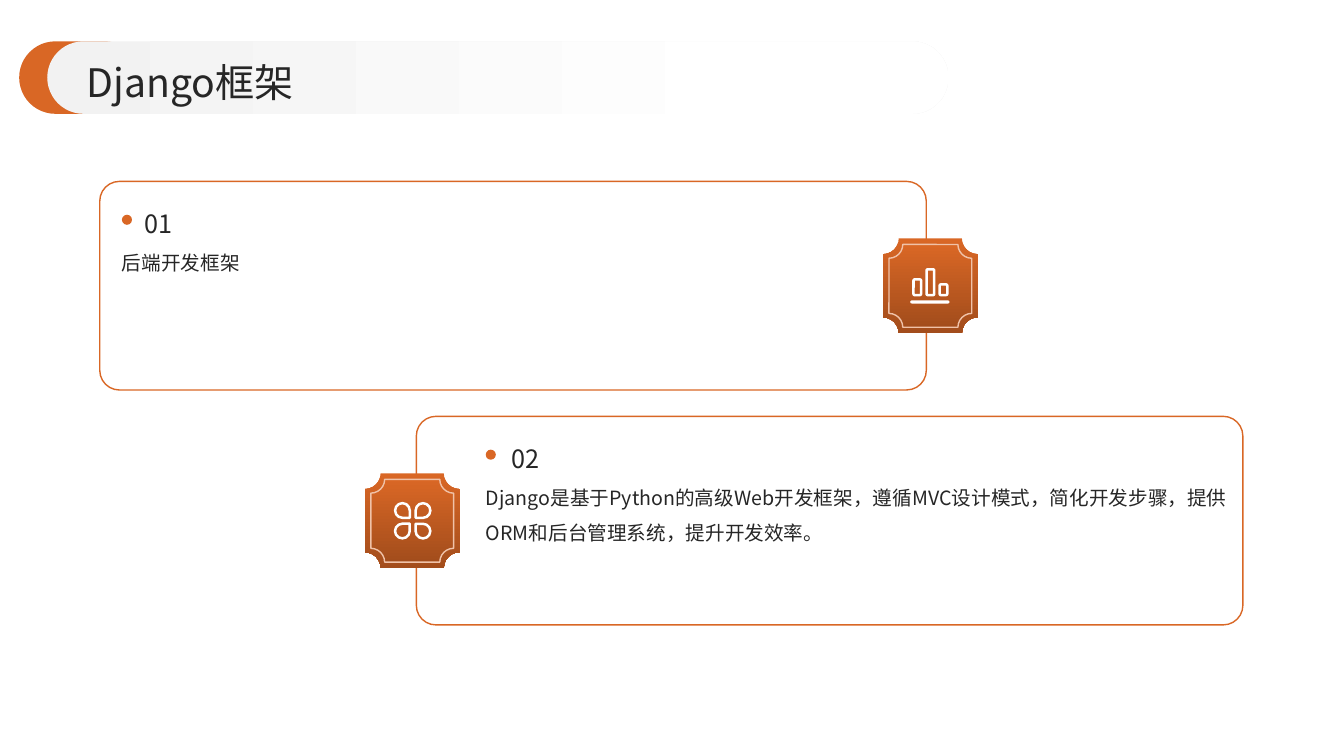
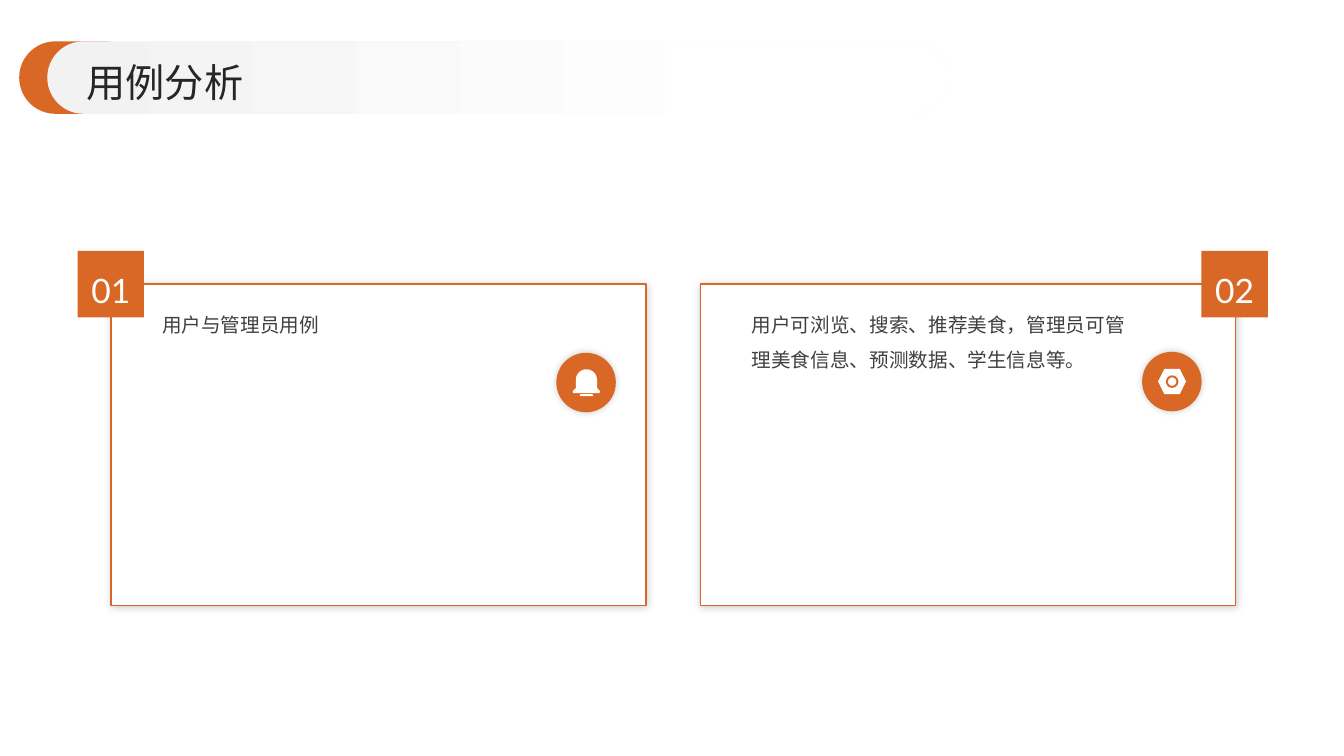
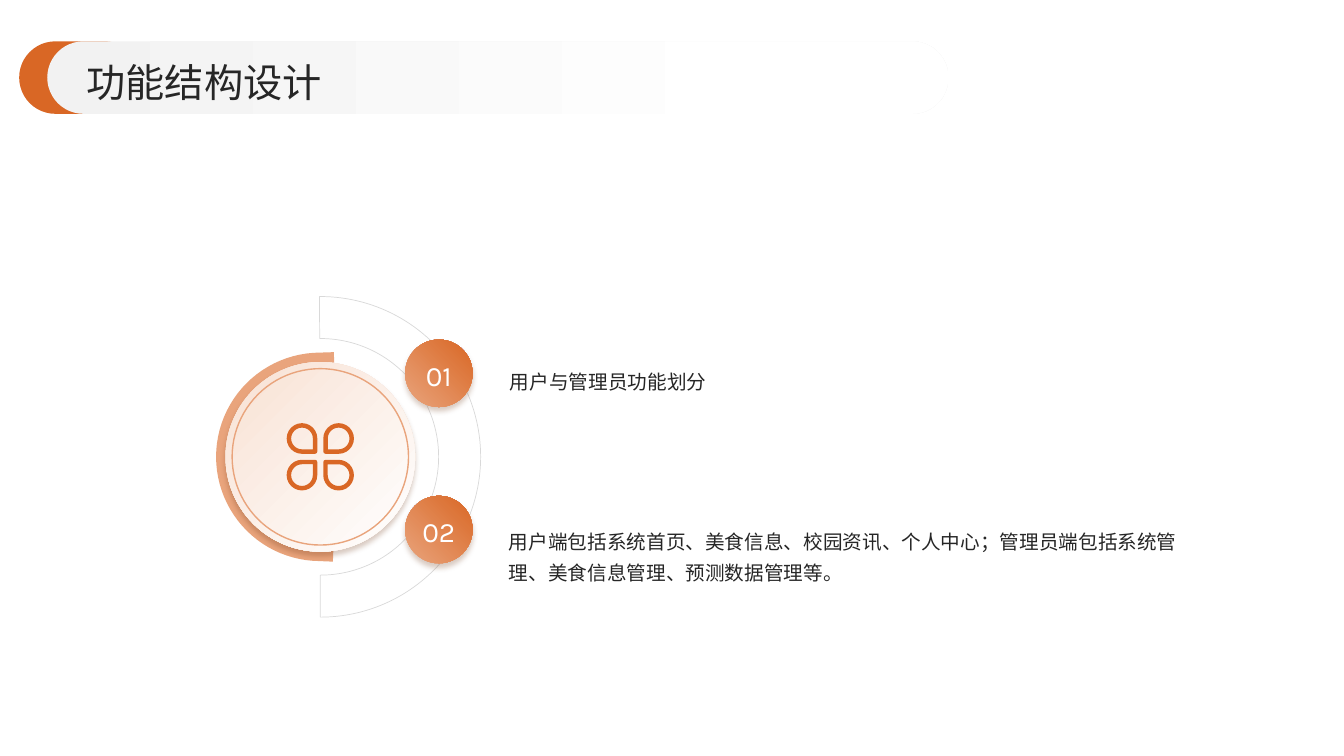
from math import cos, pi, sin

from pptx import Presentation
from pptx.dml.color import RGBColor
from pptx.enum.shapes import MSO_SHAPE as KIND
from pptx.enum.text import MSO_ANCHOR, MSO_AUTO_SIZE, PP_ALIGN
from pptx.oxml import parse_xml
from pptx.oxml.ns import nsdecls, qn
from pptx.util import Pt

HUES = {
    "main": "D96725", "deep": "A34D1C", "soft": "E9A47C", "edge": "F0C2A8",
    "pale": "F8E1D3", "white": "FFFFFF", "mist": "F2F2F2", "rule": "D9D9D9",
    "ink": "262626", "gray": "404040", "black": "000000", "brown": "6D3412",
}

# Gradients: first hue, last hue, clockwise angle, last stop
BAND = ("mist", "white", 0, 0.8)
BADGE = ("main", "deep", 90, 1)
DISC = ("pale", "white", 45, 1)
BALL = ("soft", "main", 315, 1)

# Shadows: hue, opacity in percent, blur, distance, direction in degrees
GLOW = ("black", 20, 5, 0, 0)
DROP = ("brown", 25, 4, 3, 90)

# Text styles
CJK = "Noto Sans CJK SC"
SIDES = ("margin_left", "margin_top", "margin_right", "margin_bottom")
FLUSH = dict.fromkeys(SIDES, 0)
MID = {**FLUSH, "vertical_anchor": MSO_ANCHOR.MIDDLE}
TOP = {**FLUSH, "vertical_anchor": MSO_ANCHOR.TOP}
PAD = {**TOP, **dict(zip(SIDES, map(Pt, (7.2, 3.6, 7.2, 3.6))))}
TAG = {**MID, **dict(zip(SIDES, map(Pt, (7.2, 3.6, 7.2, 9.4))))}
LEFT, CENTER = PP_ALIGN.LEFT, PP_ALIGN.CENTER
STYLES = {  # frame, alignment, line spacing, size, font, hue
    "title": (MID, LEFT, 1.1, 28, CJK, "ink"),
    "head": (MID, LEFT, 1.1, 18, CJK, "ink"),
    "body": (TOP, LEFT, 1.5, 14, CJK, "ink"),
    "card": (PAD, LEFT, 1.5, 14, CJK, "gray"),
    "tag": (TAG, CENTER, 1.5, 24, "Lato", "white"),
    "ball": (MID, CENTER, 1.1, 20, "Karla", "white"),
    "item": (MID, LEFT, 1.3, 14, CJK, "ink"),
}


def draw(page, kind, box, fill=None, line=None, width=1, shade=None, adj=()):
    """Add a preset shape; fill is a hue or a gradient."""
    shape = page.shapes.add_shape(kind, *map(Pt, box))
    shape.shadow.inherit = False
    for n, value in enumerate(adj):
        shape.adjustments[n] = value
    if fill is None:
        shape.fill.background()
    elif isinstance(fill, str):
        shape.fill.solid()
        shape.fill.fore_color.rgb = RGBColor.from_string(HUES[fill])
    else:
        shape.fill.gradient()
        shape.fill.gradient_angle = 360 - fill[2]
        for stop, hue, place in zip(shape.fill.gradient_stops, fill, (0, fill[3])):
            stop.color.rgb = RGBColor.from_string(HUES[hue])
            stop.position = place
    if line:
        shape.line.color.rgb = RGBColor.from_string(HUES[line])
        shape.line.width = Pt(width)
    else:
        shape.line.fill.background()
    if shade:
        hue, alpha, blur, dist, turn = shade
        shape.element.spPr.find(qn("a:effectLst")).append(parse_xml(
            f'<a:outerShdw {nsdecls("a")} blurRad="{Pt(blur)}" dist="{Pt(dist)}" '
            f'dir="{turn * 60000}" algn="ctr" rotWithShape="0">'
            f'<a:srgbClr val="{HUES[hue]}"><a:alpha val="{alpha * 1000}"/>'
            f'</a:srgbClr></a:outerShdw>'))
    return shape


def write(shape, text, style):
    """Put one paragraph in a shape, in a named style."""
    form, align, space, size, face, hue = STYLES[style]
    frame = shape.text_frame
    para = frame.paragraphs[0]
    run = para.add_run()
    run.text = text
    for item, values in (
        (frame, {**form, "word_wrap": True, "auto_size": MSO_AUTO_SIZE.NONE}),
        (para, {"alignment": align, "line_spacing": space}),
        (run.font, {"size": Pt(size), "name": face}),
    ):
        for name, value in values.items():
            setattr(item, name, value)
    run.font.color.rgb = RGBColor.from_string(HUES[hue])
    run.font._element.append(
        parse_xml(f'<a:ea {nsdecls("a")} typeface="{face}"/>'))


deck = Presentation()
deck.slide_width, deck.slide_height = Pt(960), Pt(540)

# Shared layout: title place and slides
base = deck.slide_layouts[5]
place = base.placeholders[0]
for name, value in zip(("left", "top", "width", "height"), (61.9, 38.2, 840.2, 36.7)):
    setattr(place, name, Pt(value))
pages = []
for title in ("Django框架", "用例分析", "功能结构设计"):
    page = deck.slides.add_slide(base)
    write(page.shapes.title, title, "title")
    pages.append(page)
frame, cases, parts = pages

# Shared layout: title bands, moved behind the title
for n, (left, width, fill) in enumerate(((13.7, 87.1, "main"), (33.8, 643.7, BAND))):
    band = draw(frame, KIND.ROUNDED_RECTANGLE, (left, 29.5, width, 51.8), fill, adj=[0.5])
    band.element.nvSpPr.cNvPr.set("id", str(20 + n))
    base.shapes.element.insert(2 + n, band.element)

# Slide 1: rounded cards with badges
for left, top, badge, dot, head, label, text in (
    (71.3, 129.6, 559.4, 15.8, 31.7, "01", "后端开发框架"),
    (297.4, 297.4, -36.8, 49.6, 67.7, "02",
     "Django是基于Python的高级Web开发框架，遵循MVC设计模式，简化开发步骤，"
     "提供ORM和后台管理系统，提升开发效率。"),
):
    draw(frame, KIND.ROUNDED_RECTANGLE, (left, top, 590.4, 149), line="main", adj=[0.094])
    for inset, line in ((0, None), (4.3, "edge")):
        size = 67.7 - 2 * inset
        draw(frame, KIND.PLAQUE, (left + badge + inset, top + 40.7 + inset, size, size),
             BADGE, line)
    draw(frame, KIND.OVAL, (left + dot, top + 23.8, 7.2, 7.2), "main")
    for x, y, width, height, words, style in (
        (head, 17.3, 516.2, 23, label, "head"),
        (dot, 41, 535, 98.6, text, "body"),
    ):
        box = frame.shapes.add_textbox(*map(Pt, (left + x, top + y, width, height)))
        write(box, words, style)

# Slide 1: bar icon
for n, tall in enumerate((11.2, 18.4, 7.6)):
    draw(frame, KIND.ROUNDED_RECTANGLE, (652.5 + 9.36 * n, 210.8 - tall, 5.4, tall),
         line="white", width=1.8)
draw(frame, KIND.ROUNDED_RECTANGLE, (650.2, 214.6, 28, 2.2), "white", adj=[0.5])

# Slide 2: cards with number tags and round icons
for left, tag, disc, high, label, text in (
    (79.2, 55.4, 397.4, 252, "01", "用户与管理员用例"),
    (500.4, 858.2, 815.8, 251.3, "02",
     "用户可浏览、搜索、推荐美食，管理员可管理美食信息、预测数据、学生信息等。"),
):
    draw(cases, KIND.RECTANGLE, (left, 203, 382.3, 229.7), "white", "main", shade=GLOW)
    square = draw(cases, KIND.RECTANGLE, (tag, 179.3, 47.5, 47.5), "main")
    write(square, label, "tag")
    box = cases.shapes.add_textbox(*map(Pt, (left + 29.5, 211.7, 282, 206.6)))
    write(box, text, "card")
    draw(cases, KIND.OVAL, (disc, high, 42.5, 42.5), "main", shade=GLOW)

# Slide 2: bell icon, in hundredths of a point
mid = 418.9
dome = [(-7.6 * cos(pi * n / 16), 271.4 - 7.6 * sin(pi * n / 16)) for n in range(17)]
skirt = [(7.6, 277.2), (9.7, 279.4), (9.4, 280.8)]
rim = dome + skirt + [(-x, y) for x, y in reversed(skirt)]
dots = [((mid + x) * 100, y * 100) for x, y in rim]
pen = cases.shapes.build_freeform(*dots[0], scale=127)
pen.add_line_segments(dots[1:])
bell = pen.convert_to_shape()
bell.shadow.inherit = False
bell.fill.solid()
bell.fill.fore_color.rgb = RGBColor.from_string(HUES["white"])
bell.line.fill.background()
draw(cases, KIND.ROUNDED_RECTANGLE, (mid - 4.7, 281.5, 9.4, 1.5), "white", adj=[0.5])

# Slide 2: nut icon
draw(cases, KIND.HEXAGON, (827.2, 263.5, 20, 18), "white")
draw(cases, KIND.OVAL, (833.5, 268.8, 7.6, 7.6), line="main", width=1.4)

# Slide 3: concentric rings
for kind, size, turn, look in (
    (KIND.ARC, 128.9, 270, {"line": "soft", "width": 20, "adj": [108.324, 0]}),
    (KIND.OVAL, 135.4, 0, {"fill": DISC, "shade": DROP}),
    (KIND.OVAL, 126, 0, {"line": "soft"}),
    (KIND.BLOCK_ARC, 229, 90, {"line": "rule", "width": 0.5, "adj": [107.811, 0, 0.131]}),
):
    ring = draw(parts, kind, (228.8 - size / 2, 326.3 - size / 2, size, size), **look)
    ring.rotation = turn
    if kind == KIND.ARC:
        ring.element.spPr.find(qn("a:ln")).set("cap", "sq")

# Slide 3: numbered balls and their texts
for top, left, high, label, text in (
    (242.6, 364.3, 218.9, "01", "用户与管理员功能划分"),
    (354.2, 363.6, 344.2, "02",
     "用户端包括系统首页、美食信息、校园资讯、个人中心；管理员端包括系统管理、"
     "美食信息管理、预测数据管理等。"),
):
    ball = draw(parts, KIND.OVAL, (289.4, top, 48.2, 48.2), BALL, shade=DROP)
    write(ball, label, "ball")
    box = parts.shapes.add_textbox(*map(Pt, (left, high, 480.2, 102.2)))
    write(box, text, "item")

# Clover icons on slides 1 and 3: four petals pointing to the centre
for page, x, y, size, hue in (
    (frame, 294.8, 372, 10.5, "white"),
    (parts, 228.8, 326.3, 18.7, "main"),
):
    step = 0.7 * size
    for dx, dy, turn in ((-1, -1, 90), (1, -1, 180), (1, 1, 270), (-1, 1, 0)):
        spot = (x + dx * step - size / 2, y + dy * step - size / 2, size, size)
        petal = draw(page, KIND.TEAR, spot, line=hue, width=0.17 * size)
        petal.rotation = turn

deck.save("out.pptx")
